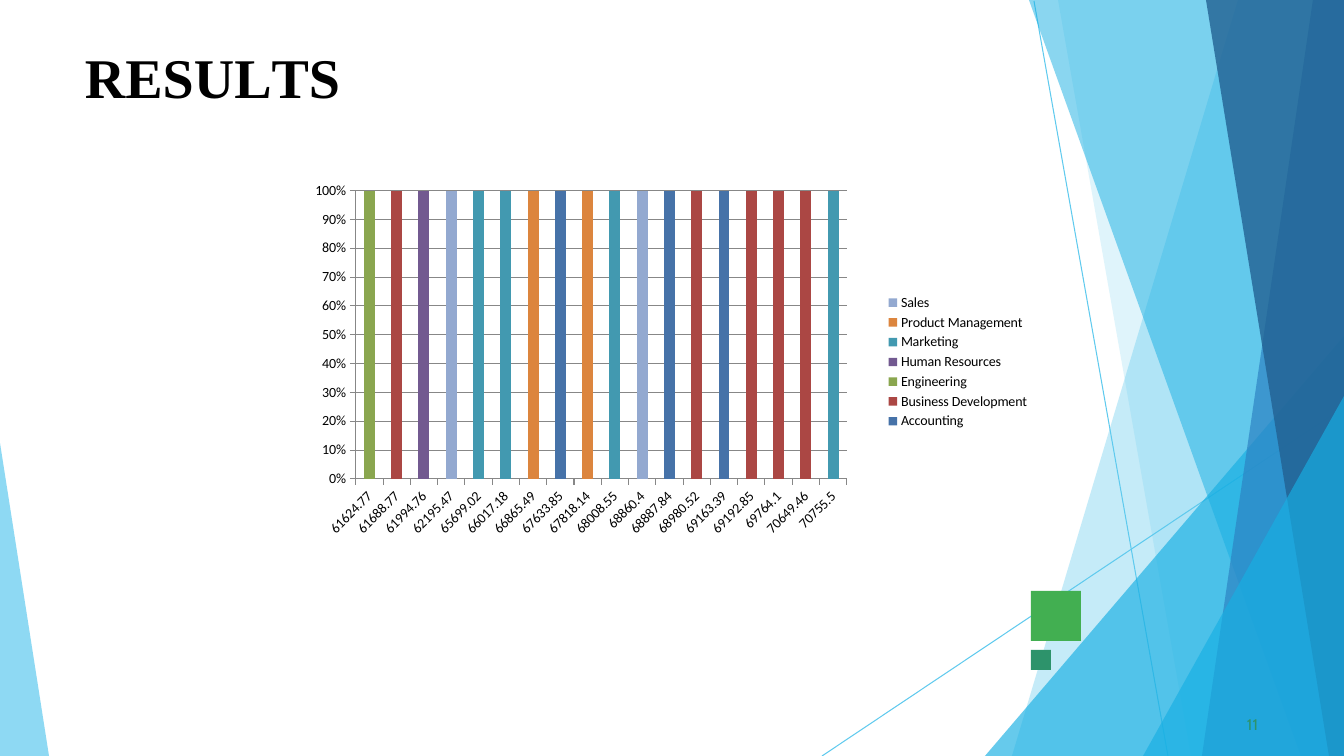
import pptx
import pptx.chart.data
import pptx.dml.color
import pptx.enum.chart
import pptx.enum.shapes
import pptx.oxml
import pptx.oxml.ns
import pptx.util

WIDTH, HEIGHT = 1344, 756
COLORS = {
    "black": "000000", "sky": "5FCAEE", "cyan": "17AFE3", "blue": "2D83C3",
    "navy": "226192", "green": "42AF51", "teal": "2D936B", "axis": "878787",
}
DEPARTMENTS = {
    "Accounting": "4672A8", "Business Development": "AB4744",
    "Engineering": "8AA64F", "Human Resources": "725990",
    "Marketing": "4299B0", "Product Management": "DC853E", "Sales": "93A9D0",
}
SALARIES = [
    ("61624.77", "Engineering"), ("61688.77", "Business Development"),
    ("61994.76", "Human Resources"), ("62195.47", "Sales"),
    ("65699.02", "Marketing"), ("66017.18", "Marketing"),
    ("66865.49", "Product Management"), ("67633.85", "Accounting"),
    ("67818.14", "Product Management"), ("68008.55", "Marketing"),
    ("68860.4", "Sales"), ("68887.84", "Accounting"),
    ("68980.52", "Business Development"), ("69163.39", "Accounting"),
    ("69192.85", "Business Development"), ("69764.1", "Business Development"),
    ("70649.46", "Business Development"), ("70755.5", "Marketing"),
]
RIGHT_BANDS = [
    ("sky", 36, 0, 1238, 1012), ("sky", 20, 0, 1058, 1191),
    ("cyan", 66, 336, WIDTH, 985), ("cyan", 50, 0, 1029, 1301),
    ("blue", 70, 0, 1313, 1202), ("navy", 80, 0, 1206, 1329),
    ("cyan", 66, 396, WIDTH, 1143),
]
TITLE = [("R", 0), ("E", -0.4), ("S", 0.1), ("U", -0.3), ("L", -4), ("TS", 0)]


def px(value):
    return pptx.util.Emu(round(value * 914400 / 100.8))


def rgb(value):
    return pptx.dml.color.RGBColor.from_string(value)


def write_text(frame, pieces, font="Calibri", size=12, color="black", bold=False, before=0):
    paragraph = frame.paragraphs[0]
    paragraph.space_before = pptx.util.Pt(before)
    for text, spacing in pieces:
        run = paragraph.add_run()
        run.text = text
        run.font.name = font
        run.font.size = pptx.util.Pt(size)
        run.font.bold = bold
        run.font.color.rgb = rgb(COLORS[color])
        run._r.get_or_add_rPr().set("spc", str(round(spacing * 100)))


class SlideBuilder:
    def __init__(self, slide):
        self.slide = slide
        self.shapes = slide.shapes

    def line(self, x1, y1, x2, y2):
        connector = self.shapes.add_connector(
            pptx.enum.shapes.MSO_CONNECTOR.STRAIGHT, px(x1), px(y1), px(x2), px(y2))
        connector.line.color.rgb = rgb(COLORS["sky"])
        connector.line.width = pptx.util.Pt(0.75)
        pptx.oxml.ns.qn("a:effectLst")
        connector._element.spPr.append(
            pptx.oxml.parse_xml(f"<a:effectLst {pptx.oxml.ns.nsdecls('a')}/>"))

    def paint(self, shape, color, opacity=100):
        shape.shadow.inherit = False
        shape.fill.solid()
        shape.fill.fore_color.rgb = rgb(COLORS[color])
        shape.line.fill.background()
        if opacity < 100:
            fill = shape._element.spPr.find(".//" + pptx.oxml.ns.qn("a:srgbClr"))
            fill.append(pptx.oxml.parse_xml(
                f'<a:alpha {pptx.oxml.ns.nsdecls("a")} val="{opacity * 1000}"/>'))

    def polygon(self, points, color, opacity):
        start, *rest = [(px(x), px(y)) for x, y in points]
        builder = self.shapes.build_freeform(*start)
        builder.add_line_segments(rest, close=True)
        self.paint(builder.convert_to_shape(), color, opacity)

    def square(self, x, y, side, color):
        shape = self.shapes.add_shape(
            pptx.enum.shapes.MSO_SHAPE.RECTANGLE, px(x), px(y), px(side), px(side))
        self.paint(shape, color)

    def text(self, x, y, width, height, pieces, indent=0, **style):
        frame = self.shapes.add_textbox(px(x), px(y), px(width), px(height)).text_frame
        frame.word_wrap = True
        frame.margin_left = px(indent)
        frame.margin_right = frame.margin_bottom = 0
        frame.margin_top = px(1)
        write_text(frame, pieces, **style)

    def chart(self, x, y, width, height, plot_area):
        data = pptx.chart.data.CategoryChartData()
        data.categories = [salary for salary, _ in SALARIES]
        for name in DEPARTMENTS:
            data.add_series(name, [100 if name == owner else None for _, owner in SALARIES])
        chart = self.shapes.add_chart(
            pptx.enum.chart.XL_CHART_TYPE.COLUMN_STACKED_100,
            px(x), px(y), px(width), px(height), data).chart
        chart.has_title = False
        chart.font.name = "Calibri"
        chart.font.size = pptx.util.Pt(10)
        chart.font.color.rgb = rgb(COLORS["black"])
        chart.has_legend = True
        chart.legend.position = pptx.enum.chart.XL_LEGEND_POSITION.RIGHT
        chart.legend.include_in_layout = False
        plot = chart.plots[0]
        plot.vary_by_categories = False
        plot.gap_width = 150
        plot.overlap = 100
        for series, color in zip(plot.series, DEPARTMENTS.values()):
            series.format.fill.solid()
            series.format.fill.fore_color.rgb = rgb(color)
        values, categories = chart.value_axis, chart.category_axis
        values.has_major_gridlines = True
        values.tick_labels.number_format = "0%"
        values.tick_labels.number_format_is_linked = False
        for axis in (values, categories):
            axis.major_tick_mark = pptx.enum.chart.XL_TICK_MARK.OUTSIDE
            axis.tick_labels.font.size = pptx.util.Pt(10)
        for item in (values, categories, values.major_gridlines):
            item.format.line.color.rgb = rgb(COLORS["axis"])
            item.format.line.width = pptx.util.Pt(0.75)
        body = categories._element.find(".//" + pptx.oxml.ns.qn("a:bodyPr"))
        body.set("rot", "-2700000")
        self.place_plot(chart, plot_area)

    def place_plot(self, chart, plot_area):
        parts = '<c:layoutTarget val="inner"/><c:xMode val="edge"/><c:yMode val="edge"/>'
        parts += "".join(f'<c:{key} val="{value}"/>' for key, value in zip("xywh", plot_area))
        area = chart._chartSpace.chart.plotArea
        for layout in area.findall(pptx.oxml.ns.qn("c:layout")):
            area.remove(layout)
        area.insert(0, pptx.oxml.parse_xml(
            f"<c:layout {pptx.oxml.ns.nsdecls('c')}><c:manualLayout>{parts}"
            "</c:manualLayout></c:layout>"))


def main():
    presentation = pptx.Presentation()
    presentation.slide_width, presentation.slide_height = px(WIDTH), px(HEIGHT)
    builder = SlideBuilder(presentation.slides.add_slide(presentation.slide_layouts[6]))
    builder.line(1034, 1, 1168, HEIGHT)
    builder.line(WIDTH, 407, 822, HEIGHT)
    for color, opacity, top, top_x, bottom_x in RIGHT_BANDS:
        corners = [(WIDTH, top), (top_x, top), (bottom_x, HEIGHT), (WIDTH, HEIGHT)]
        builder.polygon(list(dict.fromkeys(corners)), color, opacity)
    builder.polygon([(0, 443), (0, HEIGHT), (49, HEIGHT)], "sky", 70)
    builder.square(1031, 591, 50, "green")
    builder.square(1031, 650, 20, "teal")
    builder.text(84, 42, 269, 70, TITLE, indent=1,
                 font="Times New Roman", size=40, bold=True, before=1.1)
    builder.text(1243, 714, 25, 21, [("11", 0.1)], indent=4,
                 font="Cabin", size=11, color="teal", before=0.6)
    builder.chart(235, 153, 805, 418, (0.15, 0.09, 0.61, 0.69))
    presentation.save("out.pptx")


if __name__ == "__main__":
    main()
